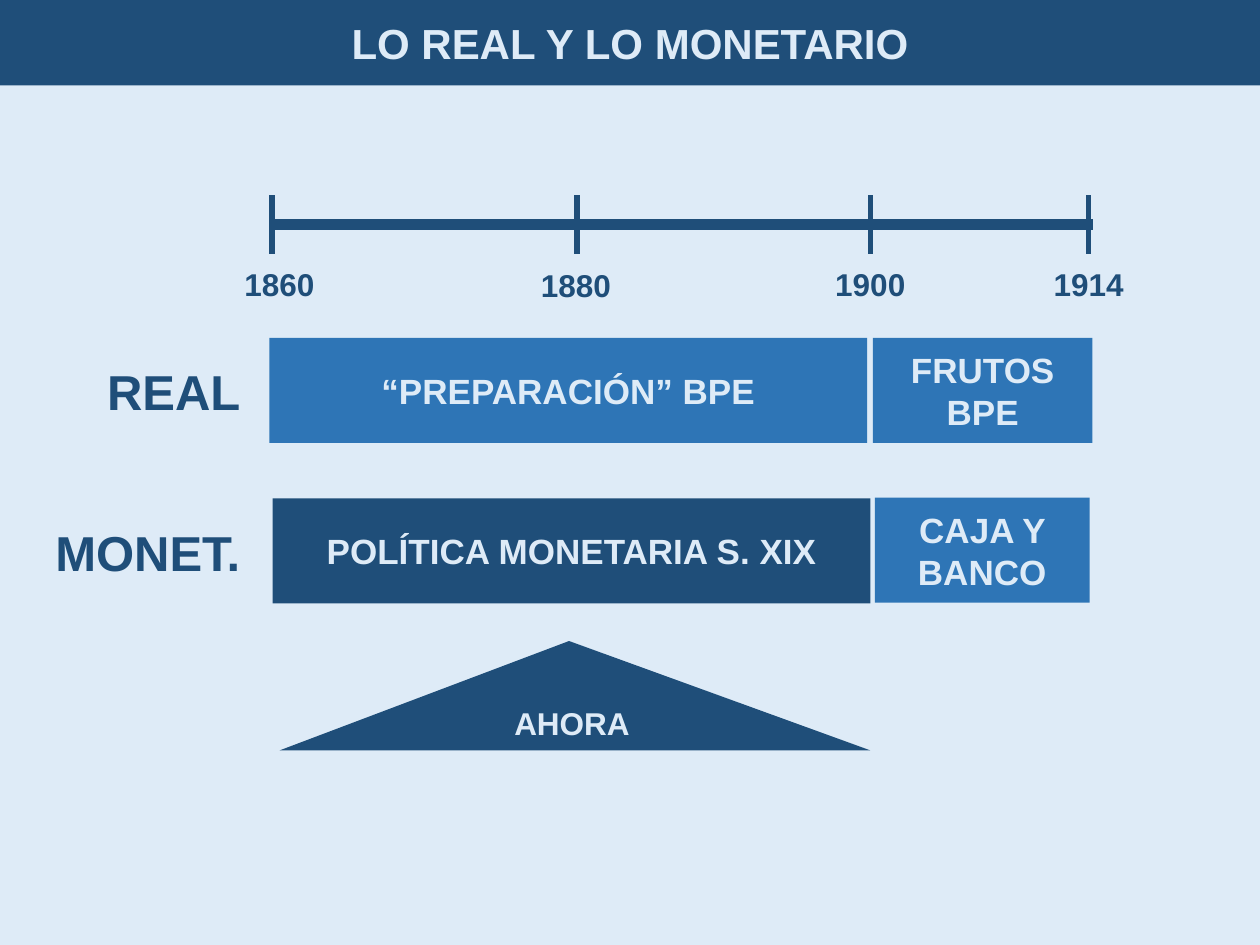
from typing import NamedTuple

from pptx import Presentation, util as u
from pptx.dml.color import RGBColor
from pptx.enum import shapes, text
from pptx.oxml.ns import qn
from lxml import etree

FONT = "Arial"
NAVY, BLUE, PALE = "1F4E79", "2E75B6", "DEEBF7"
AXIS_Y, TICK_TOP, TICK_BOTTOM = 128.2, 111.6, 145.4
ROW_LABEL_RIGHT = 144.4


class Box(NamedTuple):
    left: float
    top: float
    width: float
    height: float


class Year(NamedTuple):
    label: str
    tick_x: float
    label_x: float
    label_top: float


class Period(NamedTuple):
    label: str
    box: Box
    fill: str


class RowLabel(NamedTuple):
    label: str
    top: float
    width: float


YEARS = [
    Year("1860", 155.5, 159.7, 147.6),
    Year("1880", 329.8, 329.1, 148.2),
    Year("1900", 497.5, 497.3, 147.6),
    Year("1914", 622.2, 622.1, 147.6),
]
PERIODS = [
    Period("“PREPARACIÓN” BPE", Box(153.9, 193.1, 341.6, 60), BLUE),
    Period("FRUTOS BPE", Box(498.8, 193.1, 125.5, 60), BLUE),
    Period("POLÍTICA MONETARIA S. XIX", Box(155.8, 284.8, 341.6, 60), NAVY),
    Period("CAJA Y BANCO", Box(499.9, 284.4, 122.8, 60), BLUE),
]
ROW_LABELS = [RowLabel("REAL", 203.3, 91.7), RowLabel("MONET.", 294.8, 121.7)]


def color(value: str) -> RGBColor:
    return RGBColor.from_string(value)


def paint(shape, fill: str) -> None:
    shape.fill.solid()
    shape.fill.fore_color.rgb = color(fill)
    shape.line.fill.background()


def write(shape, words: str, size: float, ink: str, align=text.PP_ALIGN.CENTER) -> None:
    shape.text_frame.text = words
    para = shape.text_frame.paragraphs[0]
    para.alignment = align
    font = para.runs[0].font
    font.name, font.size, font.bold = FONT, u.Pt(size), True
    font.color.rgb = color(ink)


def add_block(page, kind, box: Box, fill: str, words: str, size: float):
    shape = page.shapes.add_shape(kind, *map(u.Pt, box))
    shape.shadow.inherit = False
    paint(shape, fill)
    write(shape, words, size, PALE)
    shape.text_frame.vertical_anchor = text.MSO_ANCHOR.MIDDLE
    return shape


def add_label(page, words: str, box: Box, size: float, align) -> None:
    label = page.shapes.add_textbox(*map(u.Pt, box))
    write(label, words, size, NAVY, align)
    label.text_frame.word_wrap = False
    label.text_frame.auto_size = text.MSO_AUTO_SIZE.SHAPE_TO_FIT_TEXT


def add_line(page, x1: float, y1: float, x2: float, y2: float, weight: float) -> None:
    line = page.shapes.add_connector(
        shapes.MSO_CONNECTOR.STRAIGHT, *map(u.Pt, (x1, y1, x2, y2)))
    line.line.color.rgb = color(NAVY)
    line.line.width = u.Pt(weight)
    etree.SubElement(line._element.spPr, qn("a:effectLst"))


def add_title(page, words: str) -> None:
    title = page.shapes.title
    title.left, title.top, title.width, title.height = map(u.Pt, (0, 0, 720, 48.8))
    paint(title, NAVY)
    write(title, words, 24, PALE)
    title.text_frame.vertical_anchor = text.MSO_ANCHOR.MIDDLE
    title.text_frame.auto_size = text.MSO_AUTO_SIZE.NONE


def add_timeline(page) -> None:
    add_line(page, 154.1, AXIS_Y, 624.4, AXIS_Y, 6)
    for year in YEARS:
        add_line(page, year.tick_x, TICK_TOP, year.tick_x, TICK_BOTTOM, 3)
        box = Box(year.label_x - 27.3, year.label_top, 54.6, 29)
        add_label(page, year.label, box, 18, text.PP_ALIGN.CENTER)


def add_rows(page) -> None:
    for period in PERIODS:
        block = add_block(page, shapes.MSO_SHAPE.RECTANGLE, period.box,
                          period.fill, period.label, 20)
        block.text_frame.margin_top = block.text_frame.margin_bottom = u.Pt(1.4)
    for row in ROW_LABELS:
        box = Box(ROW_LABEL_RIGHT - row.width, row.top, row.width, 41.2)
        add_label(page, row.label, box, 28, text.PP_ALIGN.RIGHT)


def main() -> None:
    deck = Presentation()
    deck.slide_width, deck.slide_height = u.Pt(720), u.Pt(540)
    page = deck.slides.add_slide(deck.slide_layouts.get_by_name("Title Only"))
    page.background.fill.solid()
    page.background.fill.fore_color.rgb = color(PALE)
    add_title(page, "LO REAL Y LO MONETARIO")
    add_timeline(page)
    add_rows(page)
    now = add_block(page, shapes.MSO_SHAPE.ISOSCELES_TRIANGLE,
                    Box(159.8, 366.3, 337.6, 62.5), NAVY, "AHORA", 18)
    now.adjustments[0] = 0.49
    deck.save("out.pptx")


if __name__ == "__main__":
    main()
